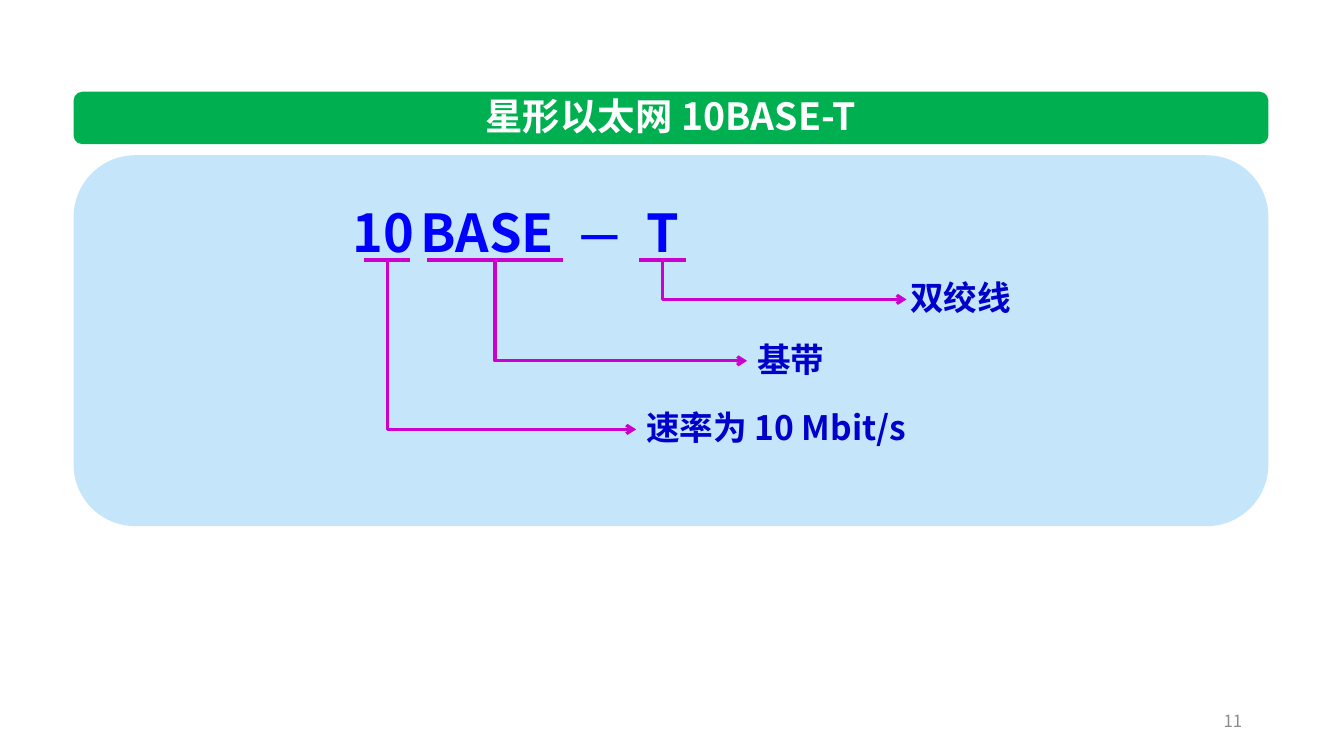
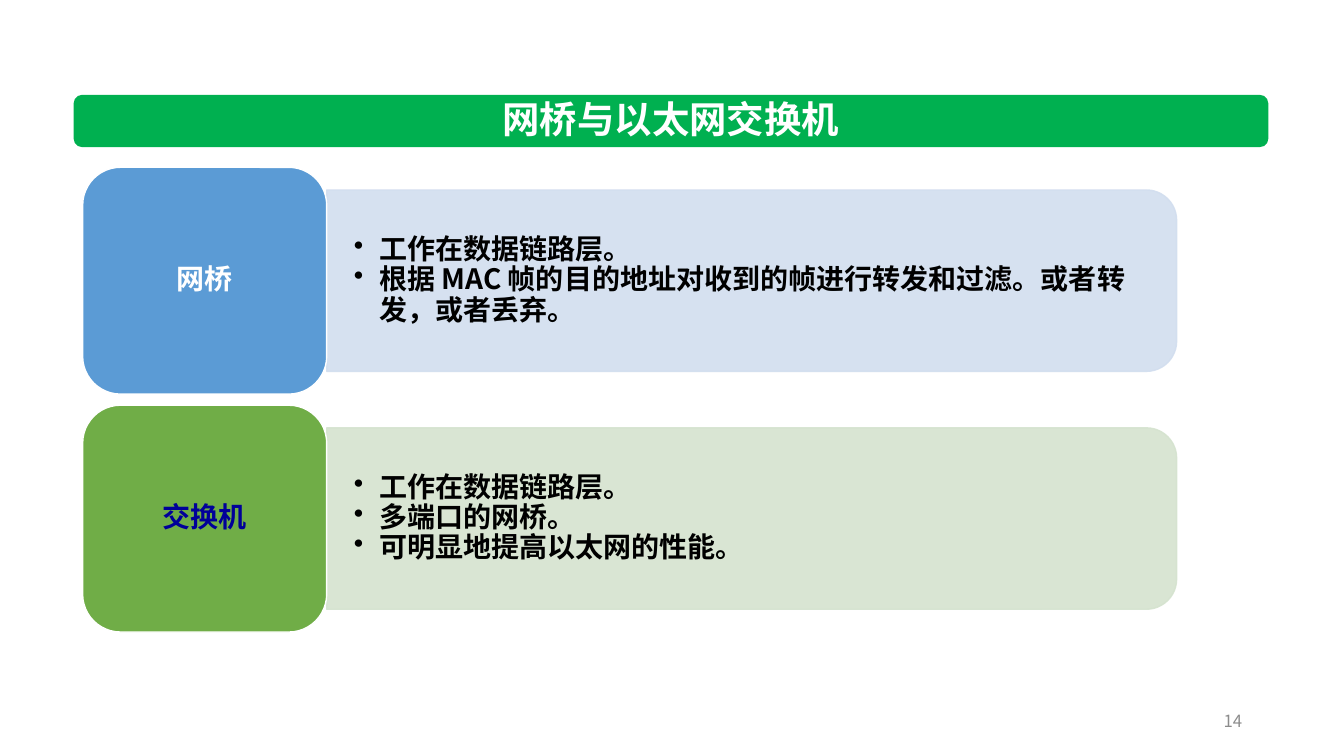
from lxml.etree import SubElement
from pptx import Presentation
from pptx.dml.color import RGBColor
from pptx.enum.shapes import MSO_CONNECTOR, MSO_SHAPE
from pptx.enum.text import MSO_ANCHOR, PP_ALIGN
from pptx.oxml.ns import qn
from pptx.util import Emu, Pt

FONT = "Noto Sans CJK SC"
WHITE, BLACK, GREEN, SKY = "FFFFFF", "000000", "00B050", "C5E5FB"
BLUE, NAVY, PURPLE, GRAY = "0000FF", "0000CC", "CC00CC", "8C8C8C"

STAR = {"title": "星形以太网 10BASE-T", "number": "11", "band_top": 91}
BRIDGE = {"title": "网桥与以太网交换机", "number": "14", "band_top": 94}

# word, word left, word width, underline, arrow end, arrow y, label, label left, label width
NAME_PARTS = [
    ("10", 340, 85, (361, 407), 631, 426, "速率为 10 Mbit/s", 631, 306),
    ("BASE", 407, 157, (424, 558), 741, 358, "基带", 741, 88),
    ("T", 631, 53, (634, 680), 899, 297, "双绞线", 893, 121),
]
DEVICES = [
    ("网桥", WHITE, "5B9BD5", "D2DEEF",
     ["工作在数据链路层。",
      "根据 MAC 帧的目的地址对收到的帧进行转发和过滤。或者转发，或者丢弃。"]),
    ("交换机", "000099", "70AD47", "D5E3CF",
     ["工作在数据链路层。", "多端口的网桥。", "可明显地提高以太网的性能。"]),
]
BAND_LEFT, BAND_W, BAND_H = 73, 1185, 52
UNDERLINE_Y = 258
CARD_LEFT, CARD_TOP, CARD_W, CARD_H, CARD_STEP = 82, 166, 242, 225, 236
PANEL_W, PANEL_H, PANEL_TEXT_W, PANEL_TEXT_H = 843, 180, 834, 162


def px(n):
    return Emu(int(n * 9144))


def rgb(color):
    return RGBColor.from_string(color)


def add_box(s, kind, left, top, w, h, fill, line=None):
    sp = s.shapes.add_shape(kind, px(left), px(top), px(w), px(h))
    sp.shadow.inherit = False
    sp.fill.solid()
    sp.fill.fore_color.rgb = rgb(fill)
    if line:
        sp.line.color.rgb = rgb(line)
        sp.line.width = Pt(1)
    else:
        sp.line.fill.background()
    return sp


def write(sp, lines, size, color, bold=True, align=PP_ALIGN.LEFT, wrap=True, spacing=None, bullet=False):
    tf = sp.text_frame
    tf.word_wrap = wrap
    tf.vertical_anchor = MSO_ANCHOR.MIDDLE
    tf.text = "\n".join(lines)
    for p in tf.paragraphs:
        p.alignment = align
        if spacing:
            p.line_spacing = spacing
        if bullet:
            pPr = p._p.get_or_add_pPr()
            pPr.set("marL", str(px(25)))
            pPr.set("indent", str(-px(25)))
            SubElement(pPr, qn("a:buChar")).set("char", "•")
        for r in p.runs:
            r.font.size, r.font.bold, r.font.name = Pt(size), bold, FONT
            r.font.color.rgb = rgb(color)
            SubElement(r._r.get_or_add_rPr(), qn("a:ea")).set("typeface", FONT)


def add_text(s, text, left, top, w, h, size, color, **style):
    sp = s.shapes.add_textbox(px(left), px(top), px(w), px(h))
    write(sp, [text], size, color, **style)


def add_line(s, kind, x1, y1, x2, y2):
    line = s.shapes.add_connector(kind, px(x1), px(y1), px(x2), px(y2))
    line.line.color.rgb = rgb(PURPLE)
    line.line.width = Pt(2.25)
    SubElement(line._element.spPr, qn("a:effectLst"))
    return line


def add_down_right_arrow(s, x1, y1, x2, y2):
    cx, cy = (x1 + x2) / 2, (y1 + y2) / 2
    half_w, half_h = (y2 - y1) / 2, (x2 - x1) / 2
    arrow = add_line(s, MSO_CONNECTOR.ELBOW, cx + half_w, cy - half_h, cx - half_w, cy + half_h)
    spPr = arrow._element.spPr
    spPr.find(qn("a:xfrm")).set("rot", "16200000")
    spPr.find(qn("a:prstGeom")).set("prst", "bentConnector2")
    SubElement(spPr.find(qn("a:ln")), qn("a:tailEnd")).set("type", "arrow")


def add_slide(prs, info):
    s = prs.slides.add_slide(prs.slide_layouts[6])
    band = add_box(s, MSO_SHAPE.ROUNDED_RECTANGLE, BAND_LEFT, info["band_top"], BAND_W, BAND_H, GREEN)
    band.text_frame.margin_top, band.text_frame.margin_bottom = 0, px(4)
    write(band, [info["title"]], 26.7, WHITE, align=PP_ALIGN.CENTER)
    add_text(s, info["number"], 942, 695, 300, 40, 12, GRAY, bold=False, align=PP_ALIGN.RIGHT)
    return s


def build_star(prs):
    s = add_slide(prs, STAR)
    add_box(s, MSO_SHAPE.ROUNDED_RECTANGLE, BAND_LEFT, 154, BAND_W, 368, SKY)
    add_text(s, "—", 565, 199, 66, 64, 32, BLUE, wrap=False)
    for word, left, w, (x1, x2), end, y, label, label_left, label_w in NAME_PARTS:
        add_text(s, word, left, 193, w, 73, 37.3, BLUE, wrap=False)
        add_down_right_arrow(s, (x1 + x2) / 2, UNDERLINE_Y, end, y)
        add_line(s, MSO_CONNECTOR.STRAIGHT, x1, UNDERLINE_Y, x2, UNDERLINE_Y)
        add_text(s, label, label_left, y - 27, label_w, 50, 24, NAVY, wrap=False)


def add_panel(s, left, cy, color):
    panel = add_box(s, MSO_SHAPE.ROUND_2_SAME_RECTANGLE, left + (PANEL_W - PANEL_H) / 2,
                    cy - PANEL_W / 2, PANEL_H, PANEL_W, color, color)
    panel.rotation = 90
    for clr in panel._element.spPr.iter(qn("a:srgbClr")):
        SubElement(clr, qn("a:alpha")).set("val", "90000")


def build_bridge(prs):
    s = add_slide(prs, BRIDGE)
    panel_left = CARD_LEFT + CARD_W
    for i, (name, name_color, card_color, panel_color, points) in enumerate(DEVICES):
        top = CARD_TOP + i * CARD_STEP
        cy = top + CARD_H / 2
        add_panel(s, panel_left, cy, panel_color)
        sp = s.shapes.add_textbox(px(panel_left), px(cy - PANEL_TEXT_H / 2), px(PANEL_TEXT_W), px(PANEL_TEXT_H))
        tf = sp.text_frame
        tf.margin_left = tf.margin_right = px(27)
        tf.margin_top = tf.margin_bottom = px(14)
        write(sp, points, 20, BLACK, spacing=0.9, bullet=True)
        card = add_box(s, MSO_SHAPE.ROUNDED_RECTANGLE, CARD_LEFT, top, CARD_W, CARD_H, card_color, WHITE)
        write(card, [name], 20, name_color, align=PP_ALIGN.CENTER, spacing=0.9)


def main():
    prs = Presentation()
    prs.slide_width, prs.slide_height = px(1333), px(750)
    build_star(prs)
    build_bridge(prs)
    prs.save("out.pptx")


if __name__ == "__main__":
    main()
